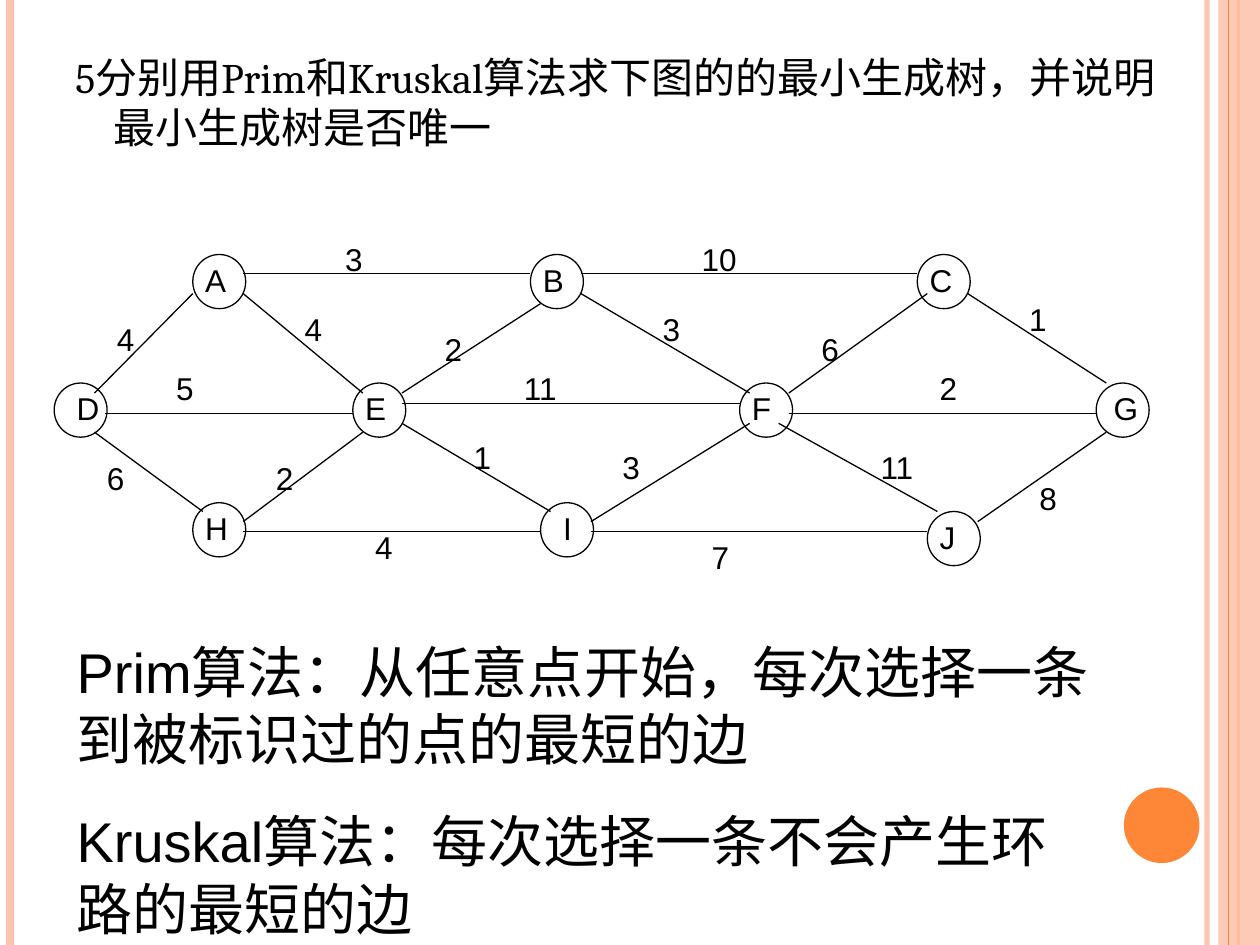
from dataclasses import dataclass

from lxml.etree import SubElement
from pptx import Presentation
from pptx.dml.color import RGBColor
from pptx.enum.shapes import MSO_CONNECTOR as Connector
from pptx.enum.shapes import MSO_SHAPE as Preset
from pptx.enum.text import MSO_AUTO_SIZE as AutoSize
from pptx.enum.text import MSO_VERTICAL_ANCHOR as Anchor
from pptx.enum.text import PP_ALIGN as Align
from pptx.oxml.ns import qn
from pptx.util import Pt

PX = 9144
WIDTH, HEIGHT = 1000, 750
NODE_WIDTH, NODE_HEIGHT, LABEL_HEIGHT = 42, 43, 40


@dataclass(frozen=True)
class Theme:
    ink: str = "000000"
    accent: str = "FE8637"
    tint: str = "FEC3AE"
    title_font: str = "Cambria"
    body_font: str = "Arial"
    title_size: int = 24
    body_size: int = 32
    label_size: int = 18
    hairline: float = 0.75


@dataclass(frozen=True)
class Node:
    name: str
    left: int
    top: int
    name_left: int
    name_width: int


@dataclass(frozen=True)
class Edge:
    weight: str
    start: tuple
    end: tuple
    label: tuple


NODES = [
    Node("D", 43, 304, 51, 24),
    Node("A", 153, 202, 153, 39),
    Node("H", 153, 399, 153, 47),
    Node("J", 736, 406, 736, 55),
    Node("E", 280, 304, 280, 55),
    Node("I", 429, 399, 437, 55),
    Node("B", 421, 202, 421, 55),
    Node("C", 728, 202, 728, 47),
    Node("G", 870, 304, 874, 55),
    Node("F", 587, 304, 587, 47),
]

EDGES = [
    Edge("4", (75, 312), (153, 233), (83, 249, 39)),
    Edge("6", (75, 343), (161, 406), (75, 359, 47)),
    Edge("5", (83, 328), (280, 328), (130, 288, 47)),
    Edge("3", (193, 217), (421, 217), (264, 186, 55)),
    Edge("2", (193, 414), (288, 343), (209, 359, 31)),
    Edge("4", (193, 233), (288, 312), (232, 241, 39)),
    Edge("4", (193, 422), (429, 422), (288, 414, 47)),
    Edge("1", (319, 336), (437, 406), (366, 343, 32)),
    Edge("2", (319, 312), (429, 241), (343, 257, 24)),
    Edge("3", (461, 233), (595, 312), (516, 241, 39)),
    Edge("3", (469, 414), (595, 336), (484, 351, 31)),
    Edge("11", (319, 320), (587, 320), (406, 288, 55)),
    Edge("6", (626, 312), (736, 233), (642, 257, 39)),
    Edge("2", (626, 328), (870, 328), (736, 288, 31)),
    Edge("7", (469, 422), (736, 422), (555, 422, 47)),
    Edge("11", (618, 336), (744, 406), (689, 351, 71)),
    Edge("8", (776, 414), (878, 343), (815, 375, 31)),
    Edge("1", (768, 233), (878, 304), (807, 233, 39)),
    Edge("10", (461, 217), (728, 217), (547, 186, 63)),
]

TITLE = "5分别用Prim和Kruskal算法求下图的的最小生成树，并说明最小生成树是否唯一"
EXPLANATIONS = [
    "Prim算法：从任意点开始，每次选择一条到被标识过的点的最短的边",
    "Kruskal算法：每次选择一条不会产生环路的最短的边",
]


class SlideBuilder:
    def __init__(self, slide, theme):
        self.theme = theme
        self.slide = slide
        self.shapes = slide.shapes

    def start_group(self):
        self.shapes = self.slide.shapes.add_group_shape().shapes

    def end_group(self):
        self.shapes = self.slide.shapes

    def paint(self, fill, color, opacity=100):
        fill.solid()
        fill.fore_color.rgb = RGBColor.from_string(color)
        if opacity < 100:
            value = fill._xPr.find(".//" + qn("a:srgbClr"))
            SubElement(value, qn("a:alpha"), val=str(opacity * 1000))

    def line(self, start, end, color, width, opacity=100):
        connector = self.shapes.add_connector(
            Connector.STRAIGHT, *(value * PX for value in (*start, *end)))
        connector.line.width = Pt(width)
        self.paint(connector.line.fill, color, opacity)
        SubElement(connector._element.spPr, qn("a:effectLst"))

    def solid(self, preset, box, color, opacity=100):
        shape = self.shapes.add_shape(preset, *(value * PX for value in box))
        shape.shadow.inherit = False
        self.paint(shape.fill, color, opacity)
        shape.line.fill.background()

    def ring(self, box):
        shape = self.shapes.add_shape(Preset.OVAL, *(value * PX for value in box))
        shape.shadow.inherit = False
        shape.fill.background()
        self.paint(shape.line.fill, self.theme.ink)
        shape.line.width = Pt(self.theme.hairline)

    def text(self, box, paragraphs, size, font, gap=0, hanging=0, grow=True):
        textbox = self.shapes.add_textbox(*(value * PX for value in box))
        frame = textbox.text_frame
        frame.text = "\n".join(paragraphs)
        frame.word_wrap = True
        frame.vertical_anchor = Anchor.TOP
        frame.auto_size = AutoSize.SHAPE_TO_FIT_TEXT if grow else AutoSize.NONE
        for index, paragraph in enumerate(frame.paragraphs):
            paragraph.alignment = Align.LEFT
            if index:
                paragraph.space_before = Pt(gap)
            if hanging:
                properties = paragraph._p.get_or_add_pPr()
                properties.set("marL", str(hanging * PX))
                properties.set("indent", str(-hanging * PX))
            for run in paragraph.runs:
                run.font.size = Pt(size)
                run.font.name = font
                run.font.color.rgb = RGBColor.from_string(self.theme.ink)

    def label(self, left, top, width, text):
        self.text((left, top, width, LABEL_HEIGHT), [text],
                  self.theme.label_size, self.theme.body_font)

    def rule(self, left, color, width, opacity=100):
        self.line((left, 0), (left, HEIGHT), color, width, opacity)

    def decoration(self):
        theme = self.theme
        self.rule(958, theme.tint, 3, 93)
        self.rule(8, theme.tint, 4.5)
        self.rule(983, theme.accent, 1.5)
        self.solid(Preset.RECTANGLE, (967, 0, 33, HEIGHT), theme.tint, 87)
        self.rule(975, theme.accent, theme.hairline)
        self.solid(Preset.OVAL, (892, 625, 60, 60), theme.accent)

    def graph(self, nodes, edges):
        self.start_group()
        for node in nodes:
            self.ring((node.left, node.top, NODE_WIDTH, NODE_HEIGHT))
        for edge in edges:
            self.line(edge.start, edge.end, self.theme.ink, self.theme.hairline)
        for edge in edges:
            self.label(*edge.label, edge.weight)
        for node in nodes:
            self.label(node.name_left, node.top, node.name_width, node.name)
        self.end_group()


def main():
    presentation = Presentation()
    presentation.slide_width = WIDTH * PX
    presentation.slide_height = HEIGHT * PX
    theme = Theme()
    slide = presentation.slides.add_slide(presentation.slide_layouts[6])
    builder = SlideBuilder(slide, theme)
    builder.decoration()
    builder.text((50, 36, 900, 634), [TITLE], theme.title_size,
                 theme.title_font, hanging=30, grow=False)
    builder.graph(NODES, EDGES)
    builder.text((51, 501, 835, 251), EXPLANATIONS, theme.body_size,
                 theme.body_font, gap=20)
    presentation.save("out.pptx")


if __name__ == "__main__":
    main()
